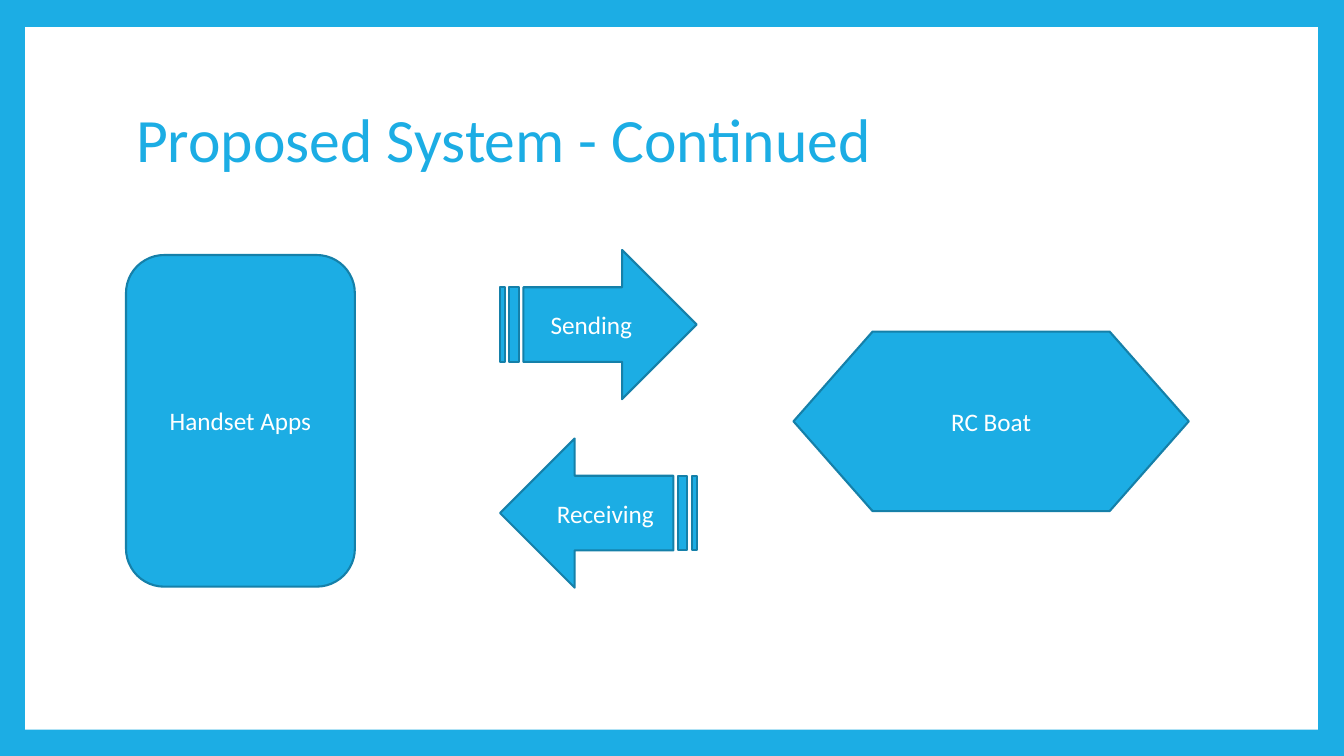
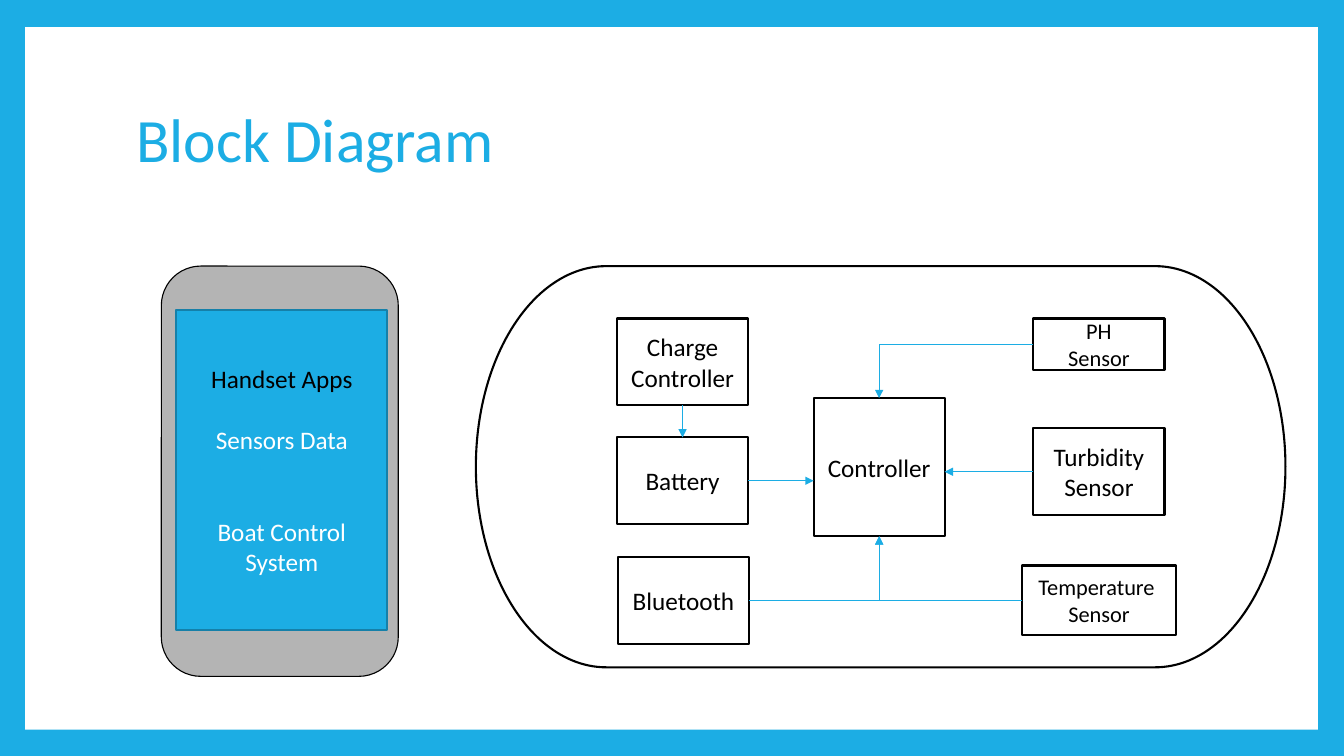
import pptx
import pptx.dml.color
import pptx.enum.shapes
import pptx.enum.text
import pptx.oxml
import pptx.oxml.ns
import pptx.util

Inches = pptx.util.Inches
Pt = pptx.util.Pt
SHAPE = pptx.enum.shapes.MSO_SHAPE
CONNECTOR = pptx.enum.shapes.MSO_CONNECTOR
MIDDLE = pptx.enum.text.MSO_ANCHOR.MIDDLE
ALIGN = pptx.enum.text.PP_ALIGN

COLORS = {
    "blue": "1CADE4",
    "edge": "1580A9",
    "white": "FFFFFF",
    "black": "000000",
    "gray": "B4B4B4",
}
FONT = "Calibri"
THIN = 0.79
TOP, LEFT, BOTTOM, RIGHT = range(4)


def rgb(name):
    return pptx.dml.color.RGBColor.from_string(COLORS[name])


class Deck:
    """Holds the shared style and the slide being drawn."""

    def __init__(self):
        self.prs = pptx.Presentation()
        self.prs.slide_width = Inches(13.33)
        self.prs.slide_height = Inches(7.5)
        background = self.prs.slide_master.background.fill
        background.solid()
        background.fore_color.rgb = rgb("blue")
        self.slide = None

    def add_slide(self, heading):
        self.slide = self.prs.slides.add_slide(self.prs.slide_layouts[5])
        self.shape(SHAPE.RECTANGLE, (0.25, 0.27, 12.82, 6.97), "white", None)
        title = self.slide.shapes.title
        title.left, title.top = Inches(1.25), Inches(0.67)
        title.width, title.height = Inches(10.8), Inches(1.48)
        frame = title.text_frame
        frame.text = heading
        frame.vertical_anchor = MIDDLE
        frame.auto_size = pptx.enum.text.MSO_AUTO_SIZE.NONE
        paragraph = frame.paragraphs[0]
        paragraph.alignment = ALIGN.LEFT
        paragraph.line_spacing = 0.9
        self.font(paragraph, 44, "blue")
        # Bring the title in front of the white panel
        title.element.getparent().append(title.element)

    def font(self, paragraph, size, color):
        for run in paragraph.runs:
            run.font.name = FONT
            run.font.size = Pt(size)
            run.font.color.rgb = rgb(color)

    def shape(self, kind, box, fill="blue", line="edge", width=1.5,
              text="", size=18, color="white"):
        shape = self.slide.shapes.add_shape(kind, *map(Inches, box))
        shape.shadow.inherit = False
        shape.fill.solid()
        shape.fill.fore_color.rgb = rgb(fill)
        if line:
            shape.line.color.rgb = rgb(line)
            shape.line.width = Pt(width)
        else:
            shape.line.fill.background()
        if text:
            frame = shape.text_frame
            frame.text = text
            frame.word_wrap = True
            frame.vertical_anchor = MIDDLE
            for paragraph in frame.paragraphs:
                paragraph.alignment = ALIGN.CENTER
                self.font(paragraph, size, color)
        return shape

    def block(self, text, box, size=18):
        return self.shape(SHAPE.RECTANGLE, box, "white", "black",
                          text=text, size=size, color="black")

    def arrow(self, start, end, source, source_side,
              target=None, target_side=None, bent=False):
        kind = CONNECTOR.ELBOW if bent else CONNECTOR.STRAIGHT
        link = self.slide.shapes.add_connector(
            kind, *map(Inches, start + end))
        link.begin_connect(source, source_side)
        if target is not None:
            link.end_connect(target, target_side)
        link.line.color.rgb = rgb("blue")
        link.line.width = Pt(THIN)
        properties = link.element.spPr
        if bent:  # a single corner
            geometry = properties.find(pptx.oxml.ns.qn("a:prstGeom"))
            geometry.set("prst", "bentConnector2")
        ns = pptx.oxml.ns.nsdecls("a")
        link.line._get_or_add_ln().append(
            pptx.oxml.parse_xml(f'<a:tailEnd {ns} type="triangle"/>'))
        properties.append(pptx.oxml.parse_xml(f"<a:effectLst {ns}/>"))


def proposed_system(deck):
    deck.add_slide("Proposed System - Continued")
    deck.shape(SHAPE.FLOWCHART_PREPARATION, (7.87, 3.29, 3.92, 1.78),
               text="RC Boat")
    deck.shape(SHAPE.ROUNDED_RECTANGLE, (1.25, 2.53, 2.27, 3.29),
               text="Handset Apps")

    # Two-way exchange
    deck.shape(SHAPE.STRIPED_RIGHT_ARROW, (4.96, 2.48, 1.95, 1.48),
               text="Sending")
    receiving = deck.shape(SHAPE.STRIPED_RIGHT_ARROW,
                           (4.96, 4.35, 1.95, 1.48), text="Receiving")
    receiving.element.spPr.xfrm.set("flipH", "1")


def block_diagram(deck):
    deck.add_slide("Block Diagram")

    # Boat hull and its parts
    deck.shape(SHAPE.FLOWCHART_TERMINATOR, (4.72, 2.64, 8.03, 3.98),
               "white", "black")
    controller = deck.block("Controller", (8.07, 3.95, 1.3, 1.37))
    bluetooth = deck.block("Bluetooth", (6.13, 5.53, 1.3, 0.86))
    ph = deck.block("PH\nSensor", (10.25, 3.16, 1.3, 0.51), 16)
    turbidity = deck.block("Turbidity\nSensor", (10.25, 4.25, 1.3, 0.86))
    temperature = deck.block("Temperature \nSensor",
                             (10.14, 5.61, 1.52, 0.69), 16)
    battery = deck.block("Battery", (6.12, 4.34, 1.3, 0.86))
    charge = deck.block("Charge\nController", (6.12, 3.16, 1.3, 0.86))

    # Flows between the parts
    deck.arrow((6.77, 4.02), (6.77, 4.34), charge, BOTTOM, battery, TOP)
    deck.arrow((7.42, 4.77), (8.07, 4.77), battery, RIGHT)
    deck.arrow((10.25, 4.68), (9.37, 4.68), turbidity, LEFT)
    deck.arrow((10.14, 5.96), (8.72, 5.32), temperature, LEFT,
               controller, BOTTOM, bent=True)
    deck.arrow((10.25, 3.41), (8.72, 3.95), ph, LEFT,
               controller, TOP, bent=True)
    deck.arrow((7.43, 5.96), (8.72, 5.32), bluetooth, RIGHT,
               controller, BOTTOM, bent=True)

    # Phone
    deck.shape(SHAPE.FLOWCHART_ALTERNATE_PROCESS, (1.6, 2.64, 2.35, 4.07),
               "gray", "black", THIN)
    screen = deck.shape(
        SHAPE.RECTANGLE, (1.75, 3.08, 2.09, 3.17),
        text="Handset Apps\nSensors Data\nBoat Control System")
    apps, sensors, control = screen.text_frame.paragraphs
    deck.font(apps, 18, "black")
    sensors.space_before = Pt(22)
    control.space_before = Pt(44)


def main():
    deck = Deck()
    proposed_system(deck)
    block_diagram(deck)
    deck.prs.save("out.pptx")


if __name__ == "__main__":
    main()
